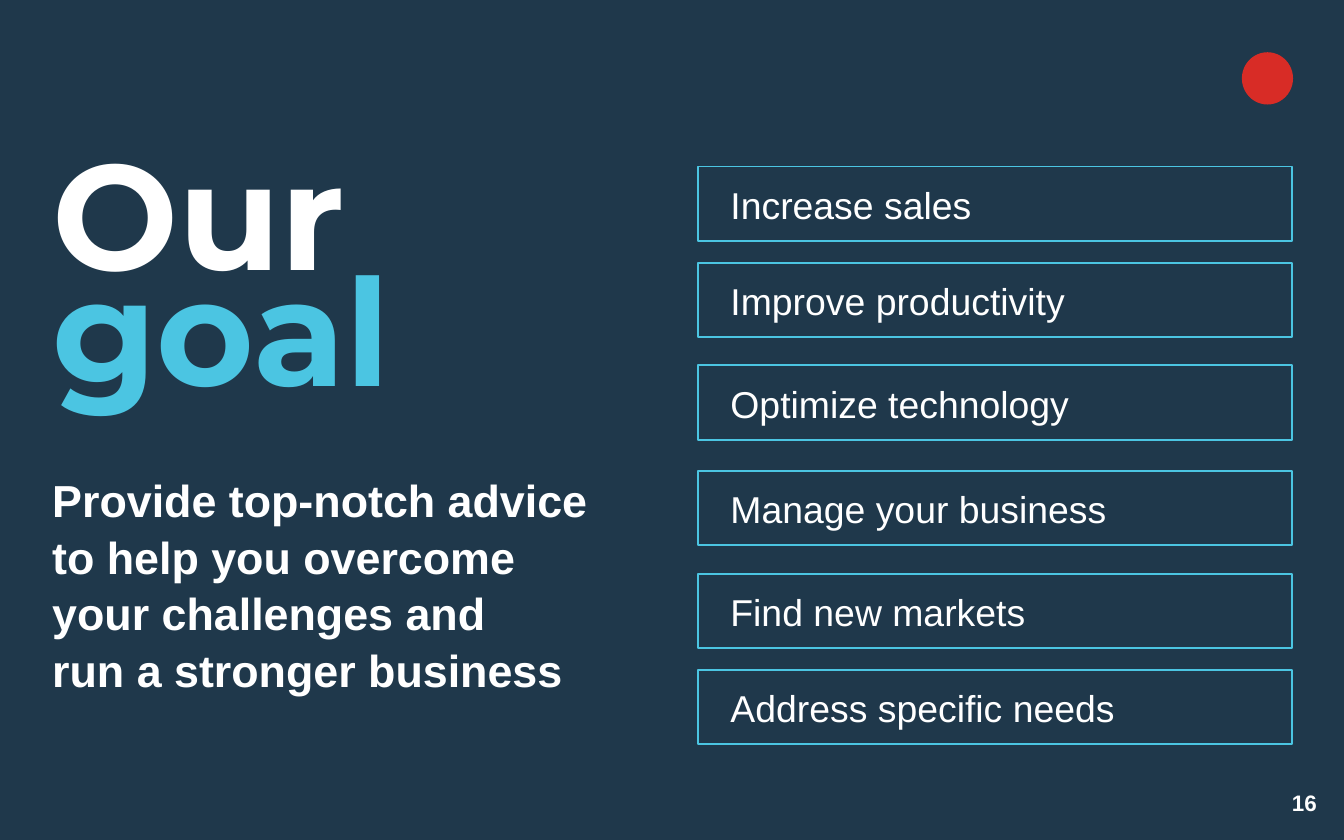
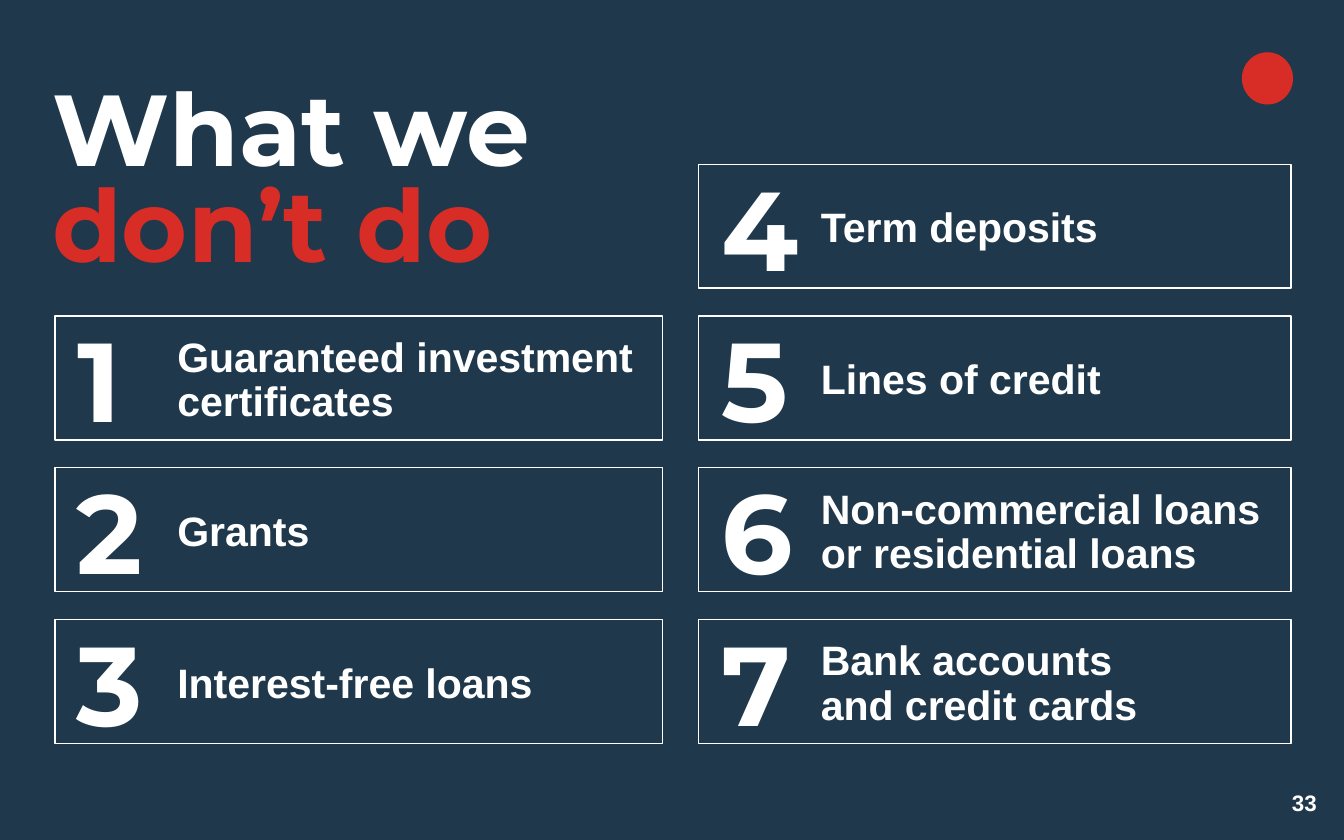
from pptx import Presentation
from pptx.dml import color
from pptx.enum import shapes, text
from pptx.util import Pt

HUES = {"navy": "1F384B", "white": "FFFFFF", "sky": "4BC5E2", "red": "D82C26"}

# Text formats
FONTS = {
    "page": {"name": "Arial", "size": Pt(12), "bold": True},
    "head": {"name": "Montserrat", "size": Pt(80), "bold": True},
    "title": {"name": "Montserrat", "size": Pt(54), "bold": True},
    "lead": {"name": "Arial", "size": Pt(24), "bold": True},
    "goal": {"name": "Arial", "size": Pt(20), "bold": False},
    "item": {"name": "Arial", "size": Pt(22), "bold": True},
    "digit": {"name": "Montserrat", "size": Pt(60), "bold": True},
}
PARAS = {
    "page": {"alignment": text.PP_ALIGN.CENTER},
    "head": {"line_spacing": 0.65},
    "title": {"line_spacing": 0.8},
    "lead": {"line_spacing": 1.05},
    "goal": {"line_spacing": 0.9, "space_after": Pt(12),
             "alignment": text.PP_ALIGN.LEFT},
    "item": {"line_spacing": 0.9, "alignment": text.PP_ALIGN.LEFT},
    "digit": {"alignment": text.PP_ALIGN.CENTER},
}
SIDES = ("margin_left", "margin_top", "margin_right", "margin_bottom")


def rgb(hue):
    return color.RGBColor.from_string(HUES[hue])


def assign(target, values):
    for key, value in values.items():
        setattr(target, key, value)


class Deck:
    def __init__(self, wide, high):
        self.prs = Presentation()
        self.prs.slide_width, self.prs.slide_height = Pt(wide), Pt(high)
        self.slide = None

    def page(self, number):
        """Start a slide with its background, mark and number."""
        self.slide = self.prs.slides.add_slide(self.prs.slide_layouts[6])
        fill = self.slide.background.fill
        fill.solid()
        fill.fore_color.rgb = rgb("navy")
        self.mark()
        self.label((677.5, 422, 42.5, 15), [(str(number), "white")], "page",
                   anchor=text.MSO_ANCHOR.BOTTOM)

    def mark(self):
        dot = self.shape(shapes.MSO_SHAPE.OVAL, (665.3, 28, 27.4, 28))
        dot.fill.solid()
        dot.fill.fore_color.rgb = rgb("red")
        dot.line.fill.background()

    def shape(self, kind, at):
        item = self.slide.shapes.add_shape(kind, *map(Pt, at))
        item.shadow.inherit = False
        return item

    def put_text(self, frame, parts, style, pads, anchor):
        """Fill a frame with (words, hue) parts in one paragraph."""
        frame.word_wrap = True
        frame.vertical_anchor = anchor
        assign(frame, dict(zip(SIDES, map(Pt, pads))))
        para = frame.paragraphs[0]
        assign(para, PARAS[style])
        for words, hue in parts:
            for index, line in enumerate(words.split("\n")):
                if index:
                    para.add_line_break()
                if line:
                    run = para.add_run()
                    run.text = line
                    assign(run.font, FONTS[style])
                    run.font.color.rgb = rgb(hue)

    def label(self, at, parts, style, pads=(0, 0, 0, 0),
              anchor=text.MSO_ANCHOR.TOP):
        box = self.slide.shapes.add_textbox(*map(Pt, at))
        self.put_text(box.text_frame, parts, style, pads, anchor)
        return box

    def frame(self, at, words, style, pads, hue, width):
        """Draw an outlined box with text."""
        box = self.shape(shapes.MSO_SHAPE.RECTANGLE, at)
        box.fill.background()
        box.line.color.rgb = rgb(hue)
        box.line.width = Pt(width)
        self.put_text(box.text_frame, [(words, "white")], style, pads,
                      text.MSO_ANCHOR.MIDDLE)

    def digit(self, left, top, number):
        box = self.label((left, top, 38.9, 79.9), [(str(number), "white")],
                         "digit", (7.2, 3.6, 7.2, 3.6))
        box.text_frame.auto_size = text.MSO_AUTO_SIZE.SHAPE_TO_FIT_TEXT
        run = box.text_frame.paragraphs[0].runs[0]
        run._r.get_or_add_rPr().set("spc", "-200")


def goals(deck):
    deck.page(16)
    deck.label((28, 95, 300, 105.8), [("Our\n", "white"), ("goal", "sky")],
               "head")
    deck.label((28, 252, 291, 127.4),
               [("Provide top-notch advice to help you overcome "
                 "your challenges and\nrun a stronger business", "white")],
               "lead")
    # Goals in one column
    rows = [(89.2, "Increase sales"), (141, "Improve productivity"),
            (195.8, "Optimize technology"), (252.2, "Manage your business"),
            (307.5, "Find new markets"), (358.8, "Address specific needs")]
    for top, words in rows:
        deck.frame((374, top, 318.2, 39.8), words, "goal",
                   (17.3, 14.4, 11.5, 10.8), "sky", 1)


def limits(deck):
    deck.page(33)
    deck.label((28, 47.5, 609, 100),
               [("What we\n", "white"), ("don’t do", "red")], "title")
    # Numbered boxes: left edge, width, digit edge, first row, items
    start, step = 88, 81.3
    columns = [
        (29.5, 325.4, 33.8, 1, ["Guaranteed investment certificates",
                                "Grants", "Interest-free loans"]),
        (374.2, 317.5, 379.4, 0, ["Term deposits", "Lines of credit",
                                  "Non-commercial loans or residential loans",
                                  "Bank accounts\nand credit cards"]),
    ]
    number = 0
    for left, wide, edge, first, items in columns:
        for row, words in enumerate(items, first):
            number += 1
            top = start + row * step
            deck.frame((left, top, wide, 66.4), words, "item",
                       (65.5, 14.4, 14.4, 10.8), "white", 0.75)
            deck.digit(edge, top - 6.3, number)


def main():
    deck = Deck(720, 450)
    goals(deck)
    limits(deck)
    deck.prs.save("out.pptx")


if __name__ == "__main__":
    main()
